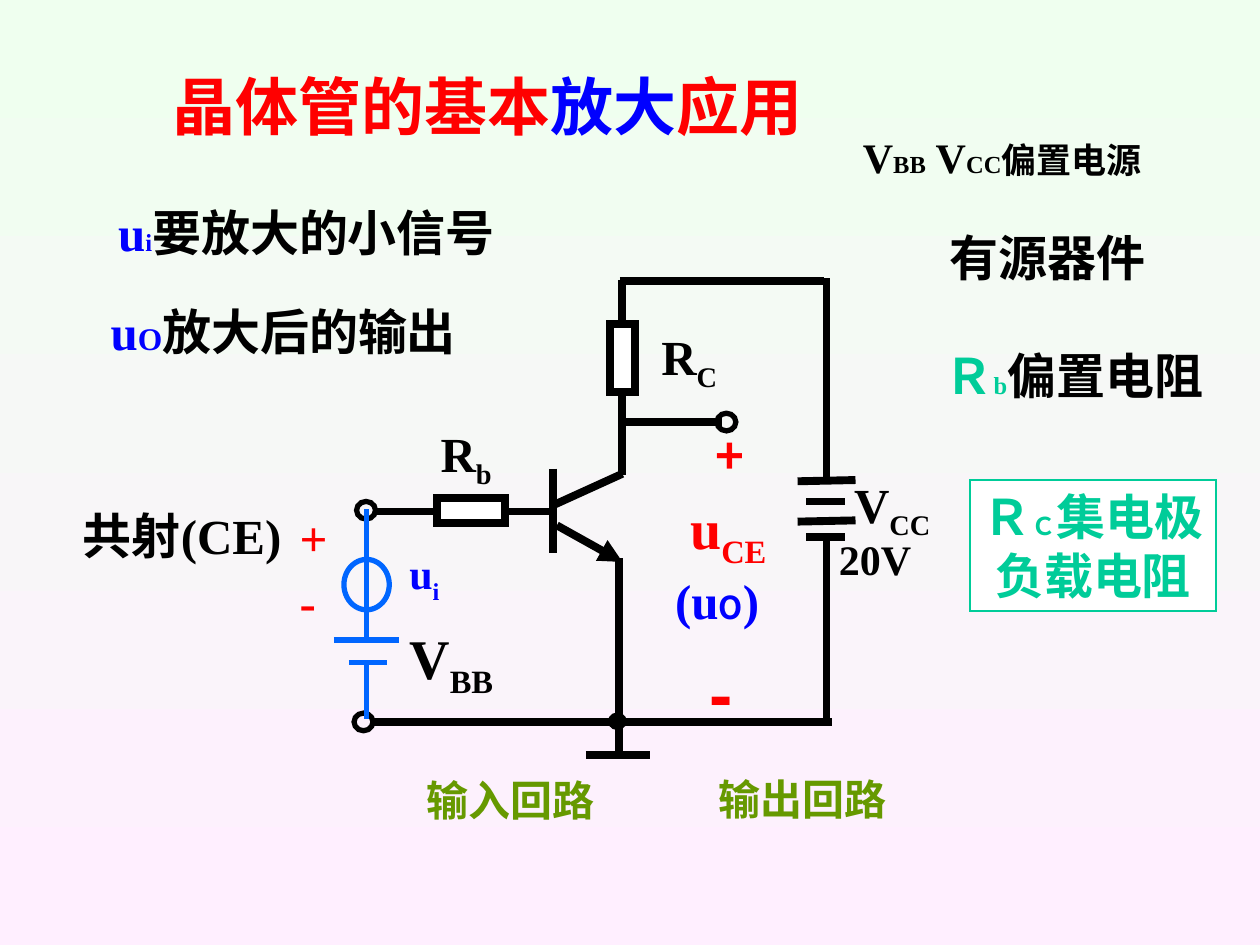
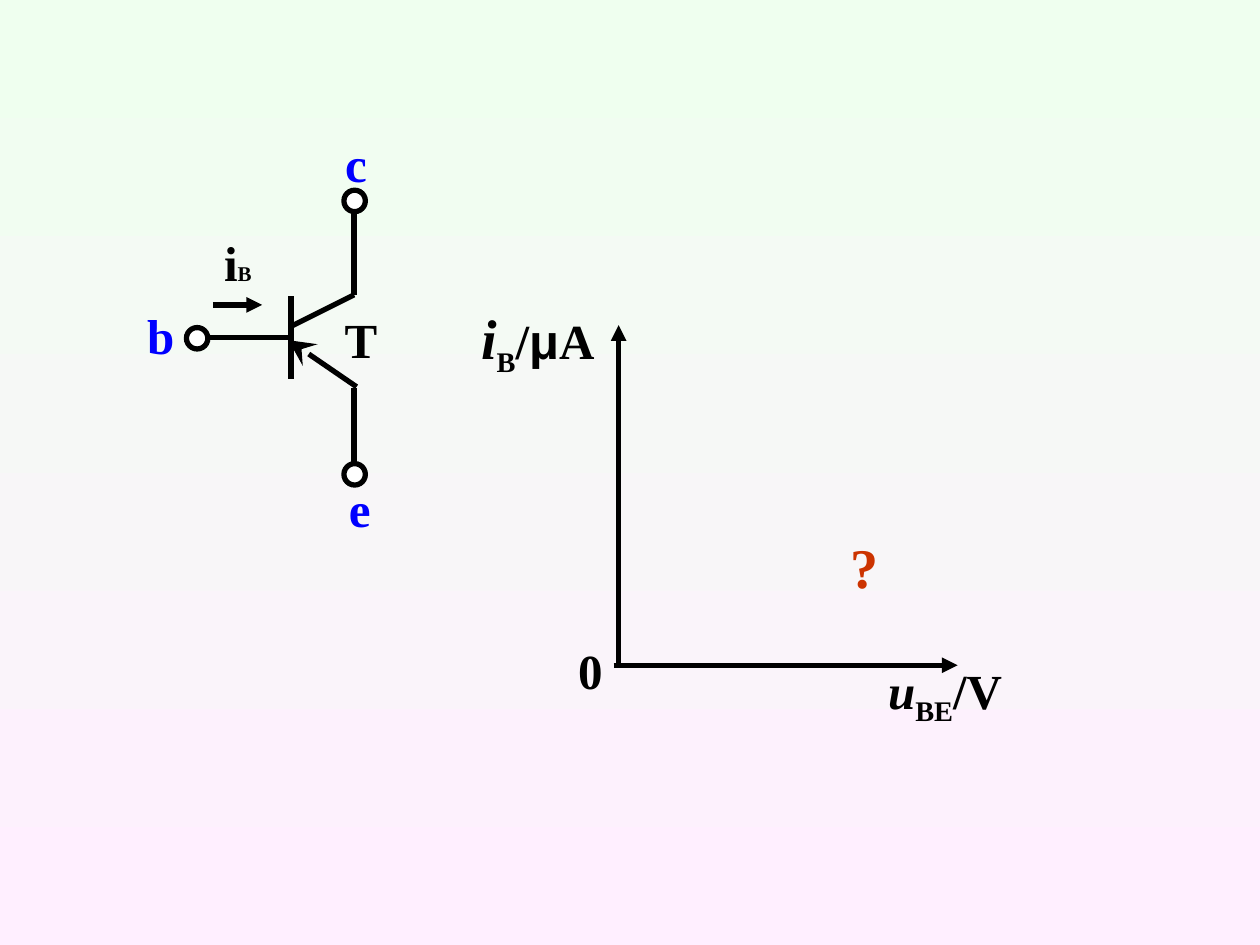
from dataclasses import dataclass

from lxml.etree import SubElement
from pptx import Presentation
from pptx.dml.color import RGBColor
from pptx.enum.shapes import MSO_CONNECTOR, MSO_SHAPE
from pptx.enum.text import MSO_ANCHOR, MSO_AUTO_SIZE, PP_ALIGN
from pptx.oxml.ns import qn
from pptx.util import Inches, Pt

COLORS = {
    "top": "EFFFEF", "bottom": "FFEFFF", "black": "000000", "white": "FFFFFF",
    "red": "FF0000", "blue": "0000FF", "teal": "00CC99", "olive": "669900",
    "source": "0066FF", "rust": "CC3300",
}
SERIF, CJK, SANS = "Times New Roman", "Noto Sans CJK SC", "Arial"


@dataclass
class Span:
    text: str
    size: int = 28
    color: str = "black"
    font: str = SERIF
    subscript: bool = False
    italic: bool = False


@dataclass
class Label:
    left: float
    top: float
    width: float
    height: float
    spans: list[Span]
    centered: bool = False
    wrap: bool = True
    middle: bool = False
    spacing: float = 1.0


@dataclass
class Wire:
    x1: float
    y1: float
    x2: float
    y2: float
    width: float = 3
    color: str = "black"
    head: str = ""
    head_size: str = "med"


@dataclass
class Part:
    kind: MSO_SHAPE
    left: float
    top: float
    width: float
    height: float
    fill: str = ""
    line: str = "black"
    weight: float = 3


def rgb(name: str) -> RGBColor:
    return RGBColor.from_string(COLORS[name])


def sub(text: str, size: int = 28, color: str = "black") -> Span:
    return Span(text, size, color, subscript=True)


def add_page(deck):
    page = deck.slides.add_slide(deck.slide_layouts[6])
    fill = page.background.fill
    fill.gradient()
    fill.gradient_angle = 270
    for stop, name in zip(fill.gradient_stops, ("top", "bottom")):
        stop.color.rgb = rgb(name)
    return page


def write_spans(para, spans: list[Span]) -> None:
    for span in spans:
        run = para.add_run()
        run.text = span.text
        font = run.font
        font.size, font.bold, font.italic = Pt(span.size), True, span.italic
        font.color.rgb = rgb(span.color)
        font.name = span.font
        properties = run._r.get_or_add_rPr()
        SubElement(properties, qn("a:ea")).set("typeface", CJK)
        if span.subscript:
            properties.set("baseline", "-25000")


def add_label(page, label: Label) -> None:
    box = page.shapes.add_textbox(Inches(label.left), Inches(label.top),
                                  Inches(label.width), Inches(label.height))
    frame = box.text_frame
    frame.word_wrap = label.wrap
    frame.auto_size = MSO_AUTO_SIZE.SHAPE_TO_FIT_TEXT
    frame.vertical_anchor = MSO_ANCHOR.MIDDLE if label.middle else MSO_ANCHOR.TOP
    para = frame.paragraphs[0]
    para.alignment = PP_ALIGN.CENTER if label.centered else PP_ALIGN.LEFT
    if label.spacing != 1:
        para.line_spacing = label.spacing
    write_spans(para, label.spans)


def add_wire(page, wire: Wire) -> None:
    connector = page.shapes.add_connector(
        MSO_CONNECTOR.STRAIGHT, Inches(wire.x1), Inches(wire.y1),
        Inches(wire.x2), Inches(wire.y2))
    connector.line.color.rgb = rgb(wire.color)
    connector.line.width = Pt(wire.width)
    properties = connector._element.spPr
    if wire.head:
        head = SubElement(properties.find(qn("a:ln")), qn("a:tailEnd"))
        head.set("type", wire.head)
        head.set("w", wire.head_size)
        head.set("len", wire.head_size)
    SubElement(properties, qn("a:effectLst"))


def add_part(page, part: Part):
    shape = page.shapes.add_shape(part.kind, Inches(part.left), Inches(part.top),
                                  Inches(part.width), Inches(part.height))
    shape.shadow.inherit = False
    if part.fill:
        shape.fill.solid()
        shape.fill.fore_color.rgb = rgb(part.fill)
    else:
        shape.fill.background()
    shape.line.color.rgb = rgb(part.line)
    shape.line.width = Pt(part.weight)
    outline = shape._element.spPr.find(qn("a:ln"))
    SubElement(outline, qn("a:miter")).set("lim", "800000")
    return shape


def draw(page, wires: list[Wire], parts: list[Part], labels: list[Label]) -> None:
    for wire in wires:
        add_wire(page, wire)
    for part in parts:
        add_part(page, part)
    for label in labels:
        add_label(page, label)


def build_amplifier(page) -> None:
    # Circuit wires, transistor and supply battery
    thick = [
        (4.94, 2.22, 4.94, 3.77), (4.92, 2.23, 6.54, 2.23),
        (4.65, 5.99, 5.16, 5.99), (4.39, 3.72, 4.39, 4.39),
        (4.94, 3.76, 4.39, 4.01), (2.96, 4.06, 4.37, 4.06),
        (6.56, 2.21, 6.56, 3.79), (4.91, 4.43, 4.91, 5.99),
        (6.33, 3.82, 6.79, 3.81), (6.4, 3.98, 6.71, 3.98),
        (6.33, 4.14, 6.79, 4.13), (6.4, 4.26, 6.71, 4.26),
        (6.56, 4.27, 6.56, 5.73), (2.97, 5.73, 6.6, 5.73),
        (4.92, 3.35, 5.73, 3.35),
    ]
    wires = [Wire(*ends, width=4.5) for ends in thick]
    wires.append(Wire(4.42, 4.17, 4.94, 4.46, 4.5, head="triangle"))

    # Resistors, junction and terminals
    dot = MSO_SHAPE.FLOWCHART_CONNECTOR
    parts = [
        Part(dot, 4.83, 5.66, 0.14, 0.13, "black", weight=0.75),
        Part(MSO_SHAPE.RECTANGLE, 4.84, 2.57, 0.2, 0.54, "white", weight=4.5),
        Part(MSO_SHAPE.RECTANGLE, 3.47, 3.95, 0.54, 0.2, "white", weight=4.5),
    ]
    parts += [Part(dot, left, top, 0.15, 0.14)
              for left, top in ((2.81, 5.66), (2.83, 3.98), (5.69, 3.28))]

    # Component labels
    labels = [
        Label(6.56, 4.36, 1.2, 0.3, [Span("20V", 24)], spacing=0.5),
        Label(6.68, 3.89, 1.08, 0.37, [Span("V"), sub("CC")], spacing=0.5),
        Label(5.12, 2.54, 0.7, 0.63, [Span("R"), sub("C")], True, False),
        Label(3.35, 3.31, 0.7, 0.63, [Span("R"), sub("b")], True, False),
        Label(3.15, 5.1, 1.08, 0.41, [Span("V", 32), sub("BB", 32)], spacing=0.5),
        Label(3.15, 4.45, 0.5, 0.33,
              [Span("u", 24, "blue"), sub("i", 24, "blue")], spacing=0.5),
        Label(5.51, 3.33, 0.56, 0.57, [Span("+", 28, "red", CJK)], True),
        Label(5.53, 5.11, 0.43, 0.77, [Span("-", 40, "red", SANS)]),
        Label(5.03, 3.87, 1.5, 0.71,
              [Span("u", 32, "red"), sub("CE", 32, "red")], True),
        Label(5.26, 4.48, 0.87, 0.57,
              [Span("(u", 28, "blue"), Span("O", 18, "blue", CJK),
               Span(")", 28, "blue")], wrap=False),
        Label(2.28, 3.98, 0.42, 0.57, [Span("+", 28, "red")], wrap=False),
        Label(2.28, 4.49, 0.33, 0.57, [Span("-", 28, "red")], wrap=False),
    ]

    # Title and explanations
    labels += [
        Label(1.02, 0.49, 5.7, 0.7,
              [Span("晶体管的基本", 36, "red"), Span("放大", 36, "blue"),
               Span("应用", 36, "red")], True),
        Label(3.11, 6.1, 1.89, 0.5, [Span("输入回路", 24, "olive", CJK)], True),
        Label(5.39, 6.09, 1.96, 0.5, [Span("输出回路", 24, "olive", CJK)], True),
        Label(7.44, 1.76, 1.76, 0.57, [Span("有源器件")]),
        Label(7.4, 2.69, 2.29, 1.04,
              [Span("Ｒ", 28, "teal"), Span("b", 14, "teal"), Span("偏置电阻")]),
        Label(0.56, 3.96, 1.87, 0.57, [Span("共射(CE)")], wrap=False),
        Label(6.75, 1.17, 3.25, 0.3,
              [Span("V", 24), Span("BB", 14), Span(" V", 24), Span("CC", 14),
               Span("偏置电源", 20)], spacing=0.5),
        Label(0.84, 1.56, 3.4, 0.57,
              [Span("u", 28, "blue"), Span("i", 14, "blue"),
               Span("要放大的小信号")]),
        Label(0.78, 2.34, 3.2, 0.57,
              [Span("u", 28, "blue"), Span("O", 18, "blue"),
               Span("放大后的输出")]),
    ]
    draw(page, wires, parts, labels)

    # Input signal source
    source_wires = [
        (2.91, 4.04, 2.91, 5.08), (2.65, 5.08, 3.17, 5.08),
        (2.77, 5.26, 3.07, 5.26), (2.91, 5.26, 2.91, 5.71),
    ]
    draw(page, [Wire(*ends, color="source") for ends in source_wires],
         [Part(dot, 2.73, 4.44, 0.36, 0.4, line="source")], [])

    # Framed note on the collector resistor
    note = add_part(page, Part(MSO_SHAPE.RECTANGLE, 7.7, 3.81, 1.95, 1.04,
                               "white", "teal", 1))
    frame = note.text_frame
    frame.word_wrap = False
    frame.auto_size = MSO_AUTO_SIZE.SHAPE_TO_FIT_TEXT
    frame.vertical_anchor = MSO_ANCHOR.MIDDLE
    note_lines = [
        [Span("Ｒ", 28, "teal"), Span("Ｃ", 14, "teal"), Span("集电极", 28, "teal")],
        [Span("负载电阻", 28, "teal")],
    ]
    for index, spans in enumerate(note_lines):
        para = frame.add_paragraph() if index else frame.paragraphs[0]
        para.alignment = PP_ALIGN.CENTER
        write_spans(para, spans)


def build_input_curve(page) -> None:
    # Axes, transistor symbol and current arrow
    wires = [
        Wire(4.87, 5.28, 7.6, 5.28, head="triangle"),
        Wire(4.91, 5.29, 4.91, 2.58, head="triangle"),
        Wire(2.31, 2.35, 2.31, 3.01),
        Wire(2.31, 2.59, 2.81, 2.34),
        Wire(2.83, 3.07, 2.29, 2.7, head="stealth", head_size="lg"),
        Wire(2.81, 2.34, 2.81, 1.59),
        Wire(2.81, 3.08, 2.81, 3.7),
        Wire(2.31, 2.68, 1.64, 2.68),
        Wire(1.69, 2.42, 2.08, 2.42, head="triangle"),
    ]
    terminals = [Part(MSO_SHAPE.OVAL, left, top, 0.17, 0.17, "white")
                 for left, top in ((1.48, 2.6), (2.73, 1.51), (2.73, 3.68))]

    # Axis and terminal names
    labels = [
        Label(6.95, 5.19, 1.84, 0.63,
              [Span("u", italic=True), sub("BE"), Span("/V")], middle=True),
        Label(3.72, 2.36, 1.24, 0.69,
              [Span("i", 32, italic=True), sub("B"), Span("/"),
               Span("μ", font=SANS), Span("A")], middle=True),
        Label(4.49, 5.03, 0.39, 0.57, [Span("0")], True, False, True),
        Label(2.49, 1.01, 0.67, 0.57, [Span("c", 28, "blue")], True, True, True),
        Label(1.07, 2.37, 0.41, 0.57, [Span("b", 28, "blue")], True, False, True),
        Label(2.67, 3.75, 0.37, 0.57, [Span("e", 28, "blue")], True, False, True),
        Label(2.39, 2.41, 0.95, 0.57, [Span("T")], True),
        Label(1.68, 1.8, 1.1, 0.57, [Span("i"), Span("B", 12)]),
        Label(5.34, 4.17, 3.04, 0.64, [Span("?", 32, "rust")], True, True, True),
    ]
    draw(page, wires, terminals, labels)


def main() -> None:
    deck = Presentation()
    deck.slide_width, deck.slide_height = Inches(10), Inches(7.5)
    build_amplifier(add_page(deck))
    build_input_curve(add_page(deck))
    deck.save("out.pptx")


if __name__ == "__main__":
    main()
